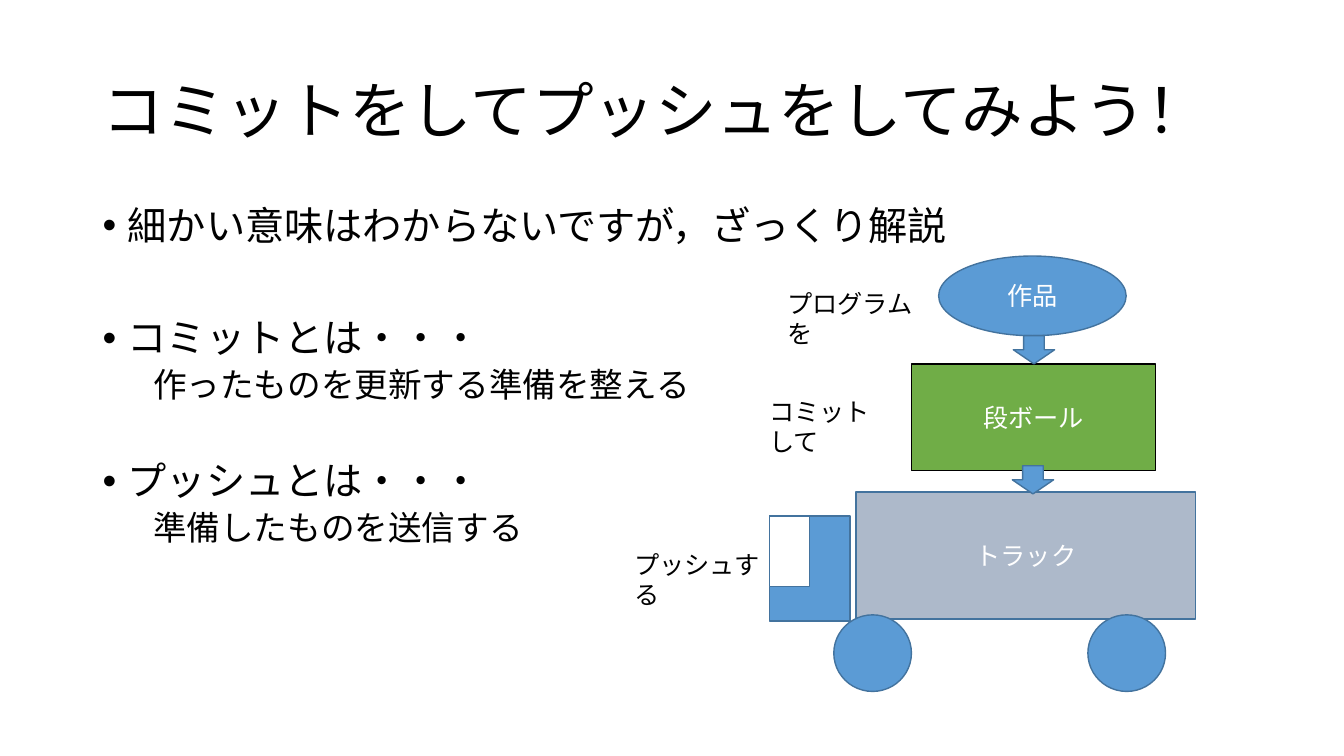
from pptx import Presentation
from pptx.dml.color import RGBColor
from pptx.enum.shapes import MSO_SHAPE as Shape
from pptx.enum.text import MSO_ANCHOR as Anchor, PP_ALIGN as Align
from pptx.oxml.ns import qn
from pptx.util import Inches, Pt
from lxml.etree import SubElement

COLORS = {
    "text": "000000", "light": "FFFFFF", "blue": "5B9BD5",
    "outline": "43739E", "green": "70AD47", "gray": "ADB9CA",
}


def color(name):
    """Return the named colour."""
    return RGBColor.from_string(COLORS[name])


def style(para, size, ink="text"):
    """Format every run of a paragraph."""
    for span in para.runs:
        span.font.size = Pt(size)
        span.font.name = "Calibri"
        span.font.color.rgb = color(ink)


def add_text(page, place, text, size=18):
    """Add a wrapping text box with one paragraph."""
    box = page.shapes.add_textbox(*map(Inches, place))
    frame = box.text_frame
    frame.word_wrap = True
    frame.text = text
    style(frame.paragraphs[0], size)
    return frame


def add_title(page, text):
    """Add the slide title."""
    frame = add_text(page, (0.92, 0.4, 11.5, 1.45), text, 44)
    frame.vertical_anchor = Anchor.MIDDLE
    frame.paragraphs[0].line_spacing = 0.9


def set_indent(para, margin, indent, bullet=None):
    """Set the indents and the bullet of a paragraph."""
    props = para._p.get_or_add_pPr()
    props.set("marL", str(Inches(margin)))
    props.set("indent", str(Inches(indent)))
    if bullet:
        SubElement(props, qn("a:buFont"), typeface="Arial")
        SubElement(props, qn("a:buChar"), char=bullet)


def add_body(page, items):
    """Add bulleted points with plain explanations below them."""
    frame = add_text(page, (0.92, 2, 11.5, 4.76), items[0][1])
    for index, (level, text, before) in enumerate(items):
        para = frame.add_paragraph() if index else frame.paragraphs[0]
        para.text = text
        para.level = level
        para.line_spacing = 0.9
        para.space_before = Pt(before)
        if level:
            set_indent(para, 0.5, 0)
        else:
            set_indent(para, 0.25, -0.25, "•")
        style(para, 24 if level else 28)


def add_part(page, kind, place, fill="blue", line="outline", text=""):
    """Add one outlined part of the truck drawing."""
    part = page.shapes.add_shape(kind, *map(Inches, place))
    part.shadow.inherit = False
    part.fill.solid()
    part.fill.fore_color.rgb = color(fill)
    part.line.color.rgb = color(line)
    part.line.width = Pt(1)
    if text:
        frame = part.text_frame
        frame.text = text
        frame.vertical_anchor = Anchor.MIDDLE
        frame.paragraphs[0].alignment = Align.CENTER
        style(frame.paragraphs[0], 18, "light")


def add_truck(page):
    """Draw the work, its box and the truck that carries it."""
    add_part(page, Shape.OVAL, (9.31, 2.54, 1.86, 0.79), text="作品")
    add_part(page, Shape.RECTANGLE, (9.04, 3.61, 2.42, 1.06), "green", "text", "段ボール")
    add_part(page, Shape.RECTANGLE, (8.49, 4.88, 3.37, 1.26), "gray", text="トラック")
    add_part(page, Shape.RECTANGLE, (7.63, 5.12, 0.8, 1.04))
    for left in (8.27, 10.79):
        add_part(page, Shape.OVAL, (left, 6.1, 0.77, 0.76))
    add_part(page, Shape.RECTANGLE, (7.63, 5.12, 0.4, 0.7), "light")
    for left, top in ((10.05, 3.33), (10.04, 4.62)):
        add_part(page, Shape.DOWN_ARROW, (left, top, 0.41, 0.28))


def main():
    """Build the slide and save it."""
    deck = Presentation()
    deck.slide_width, deck.slide_height = Inches(13.33), Inches(7.5)
    page = deck.slides.add_slide(deck.slide_layouts[6])
    add_title(page, "コミットをしてプッシュをしてみよう！")
    add_body(page, [
        (0, "細かい意味はわからないですが，ざっくり解説", 10),
        (0, "コミットとは・・・", 50),
        (1, "作ったものを更新する準備を整える", 5),
        (0, "プッシュとは・・・", 41),
        (1, "準備したものを送信する", 5),
    ])
    add_truck(page)
    add_text(page, (7.71, 2.81, 1.55, 0.4), "プログラムを")
    add_text(page, (7.53, 3.88, 1.34, 0.4), "コミットして")
    add_text(page, (6.19, 5.4, 1.52, 0.4), "プッシュする")
    deck.save("out.pptx")


main()
